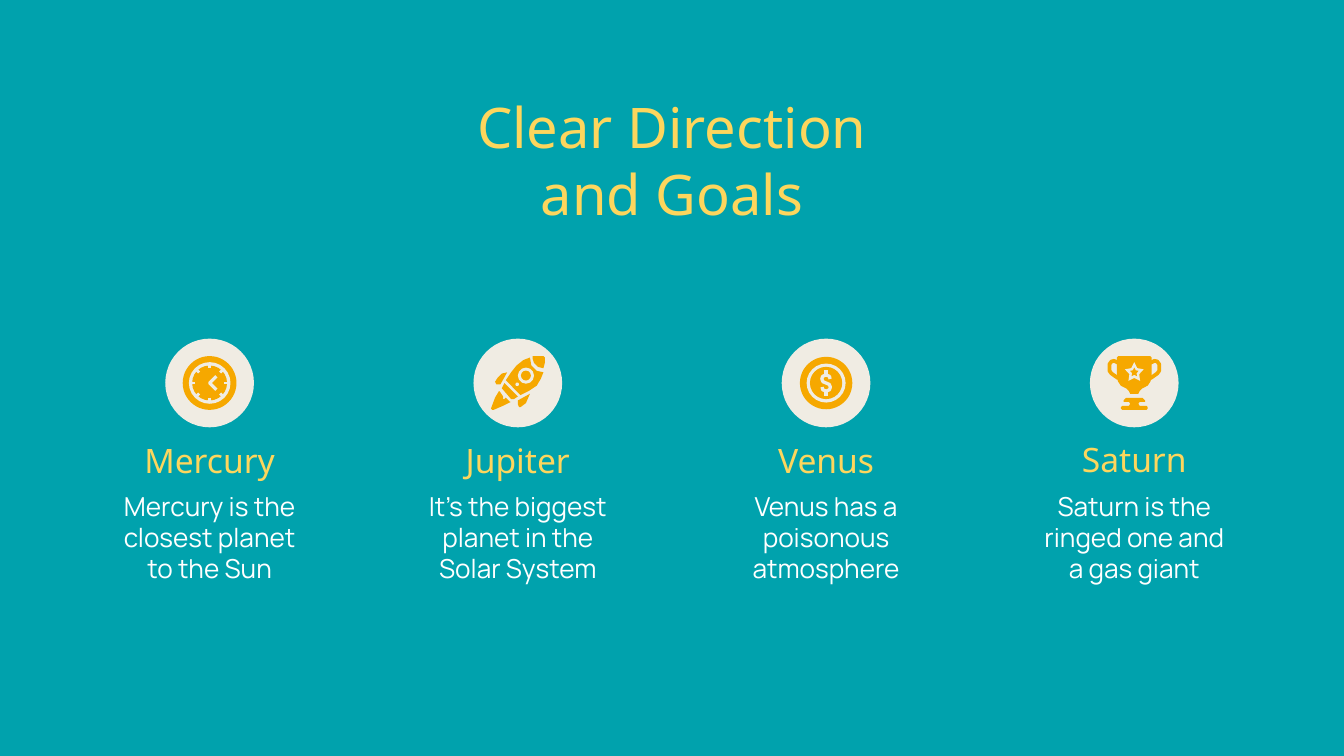
from math import cos, pi, sin

from pptx import Presentation
from pptx.dml.color import RGBColor
from pptx.enum.shapes import MSO_SHAPE
from pptx.enum.text import MSO_ANCHOR, PP_ALIGN
from pptx.util import Inches, Pt

TEAL = RGBColor(0x00, 0xA2, 0xAD)
YELLOW = RGBColor(0xFD, 0xD6, 0x5D)
WHITE = RGBColor(0xFF, 0xFF, 0xFF)
CREAM = RGBColor(0xF0, 0xEC, 0xE3)
ORANGE = RGBColor(0xF6, 0xA8, 0x00)

HEADING_FONT = "Noto Sans"
BODY_FONT = "Manrope"

FIRST_CENTER, LAST_CENTER = 1.56, 8.44
ICON_CENTER = 2.85


def add_text(slide, left, top, width, height, lines, font_name, size, color,
             anchor=MSO_ANCHOR.TOP, side_inset=0.1, line_spacing=None):
    box = slide.shapes.add_textbox(Inches(left), Inches(top), Inches(width), Inches(height))
    frame = box.text_frame
    frame.word_wrap = True
    frame.vertical_anchor = anchor
    frame.margin_left = frame.margin_right = Inches(side_inset)
    frame.margin_top = frame.margin_bottom = Inches(0.1)
    frame.text = "\n".join(lines)
    for paragraph in frame.paragraphs:
        paragraph.alignment = PP_ALIGN.CENTER
        if line_spacing:
            paragraph.line_spacing = Pt(line_spacing)
        paragraph.font.name = font_name
        paragraph.font.size = Pt(size)
        paragraph.font.color.rgb = color


class Icon:
    """A group drawn around a center, in hundredths of an inch."""

    def __init__(self, slide, center):
        self.shapes = slide.shapes.add_group_shape().shapes
        self.center = center

    def place(self, x, y):
        return Inches(self.center + x / 100), Inches(ICON_CENTER + y / 100)

    def fill(self, shape, color):
        shape.shadow.inherit = False
        shape.fill.solid()
        shape.fill.fore_color.rgb = color
        shape.line.fill.background()

    def preset(self, kind, x, y, radius, color):
        left, top = self.place(x - radius, y - radius)
        side = Inches(radius / 50)
        shape = self.shapes.add_shape(kind, left, top, side, side)
        self.fill(shape, color)
        return shape

    def disc(self, radius, color, x=0, y=0):
        self.preset(MSO_SHAPE.OVAL, x, y, radius, color)

    def star(self, radius, color, x, y):
        shape = self.preset(MSO_SHAPE.STAR_5_POINT, x, y, radius, color)
        shape.adjustments[0] = 0.26

    def outline(self, points, closed):
        start, *others = [self.place(x, y) for x, y in points]
        builder = self.shapes.build_freeform(*start)
        builder.add_line_segments(others, close=closed)
        return builder.convert_to_shape()

    def polygon(self, points, color=ORANGE):
        self.fill(self.outline(points, True), color)

    def stroke(self, points, color, width):
        shape = self.outline(points, False)
        shape.shadow.inherit = False
        shape.fill.background()
        shape.line.color.rgb = color
        shape.line.width = Pt(width)


def mirrored(half):
    return half + [(-x, y) for x, y in reversed(half)]


def draw_clock(icon):
    for radius, color in ((20, ORANGE), (15.5, CREAM), (13, ORANGE)):
        icon.disc(radius, color)
    for step in range(8):
        x, y = cos(step * pi / 4), sin(step * pi / 4)
        icon.stroke([(11 * x, 11 * y), (14 * x, 14 * y)], CREAM, 1.5)
    icon.stroke([(5, -5), (0, 0), (5, 5)], CREAM, 1.75)


def draw_rocket(icon):
    # Nose, body, belly band, two fins, flame
    icon.polygon([(11, -20), (15, -20), (19, -20), (20, -19), (20, -15), (19, -11),
                  (15, -12), (12, -15), (11, -18)])
    icon.polygon([(9, -19), (4, -17), (-1, -13), (-5, -8), (-9, -2), (2, 9), (8, 6),
                  (14, 2), (17, -3), (19, -8), (14, -9), (10, -13)])
    icon.polygon([(-10, 0), (-12, 4), (-11, 5), (-5, 12), (-3, 12), (0, 10)])
    icon.polygon([(-8, -8), (-12, -7), (-15, -4), (-17, -1), (-16, 1), (-13, 1)])
    icon.polygon([(9, 8), (0, 13), (0, 16), (1, 18), (2, 18), (6, 15)])
    icon.polygon([(-14, 6), (-17, 11), (-20, 19), (-19, 20), (-18, 20), (-11, 17),
                  (-5, 14), (-6, 14), (-9, 11), (-10, 12), (-11, 12), (-11, 10), (-13, 7)])
    # Window and rivet
    icon.disc(6, CREAM, 6, -5.5)
    icon.disc(3.7, ORANGE, 6, -5.5)
    icon.disc(1.3, CREAM, -0.5, 1)


def draw_coin(icon):
    for radius, color in ((19.5, ORANGE), (14.5, CREAM), (12, ORANGE)):
        icon.disc(radius, color)
    upper = [(3, -3), (2.5, -5), (0, -6), (-2.5, -5), (-3.2, -3), (-2.3, -1)]
    lower = [(-x, -y) for x, y in reversed(upper)]
    icon.stroke(upper + [(0, 0)] + lower, CREAM, 1.75)
    for end in (-1, 1):
        icon.stroke([(0, 6 * end), (0, 9.5 * end)], CREAM, 1.75)


def draw_trophy(icon):
    # Cup, foot, handles, star
    icon.polygon(mirrored([(12, -20), (13, -19), (13, -4), (12, -1), (10, 2), (6, 4),
                           (4, 6), (3, 8)]))
    icon.polygon(mirrored([(6, 11), (8, 13), (8, 14), (4, 14), (3, 15.5), (4, 17),
                           (9, 17), (10, 18), (10, 19), (9, 20)]))
    for side in (-1, 1):
        handle = [(12, -15), (15, -16.5), (17, -16), (18.5, -14), (18.5, -9), (17, -7), (12, -3.5)]
        icon.stroke([(side * x, y) for x, y in handle], ORANGE, 2)
    icon.star(7, CREAM, 0, -8.5)
    icon.star(3.2, ORANGE, 0, -8.3)


PLANETS = [
    ("Mercury", 3.26, ["Mercury is the", "closest planet to the Sun"], draw_clock),
    ("Jupiter", 3.26, ["It’s the biggest", "planet in the Solar System"], draw_rocket),
    ("Venus", 3.26, ["Venus has a poisonous atmosphere"], draw_coin),
    ("Saturn", 3.25, ["Saturn is the", "ringed one and a gas giant"], draw_trophy),
]


def add_planet(slide, center, name, name_top, lines, draw_icon):
    add_text(slide, center - 0.73, name_top, 1.46, 0.33, [name], HEADING_FONT, 18, YELLOW,
             anchor=MSO_ANCHOR.MIDDLE)
    add_text(slide, center - 0.775, 3.55, 1.55, 0.79, lines, BODY_FONT, 14, WHITE,
             side_inset=0.08, line_spacing=16.6)
    icon = Icon(slide, center)
    icon.disc(33, CREAM)
    draw_icon(icon)


def main():
    presentation = Presentation()
    presentation.slide_width = Inches(10)
    presentation.slide_height = Inches(10 * 9 / 16)
    slide = presentation.slides.add_slide(presentation.slide_layouts[6])
    slide.background.fill.solid()
    slide.background.fill.fore_color.rgb = TEAL

    # Title
    add_text(slide, 3.08, 0.59, 3.84, 1.3, ["Clear Direction and Goals"], HEADING_FONT, 30,
             YELLOW, line_spacing=36)

    # Four evenly spaced columns
    step = (LAST_CENTER - FIRST_CENTER) / (len(PLANETS) - 1)
    for column, planet in enumerate(PLANETS):
        add_planet(slide, FIRST_CENTER + column * step, *planet)

    presentation.save("out.pptx")


if __name__ == "__main__":
    main()
